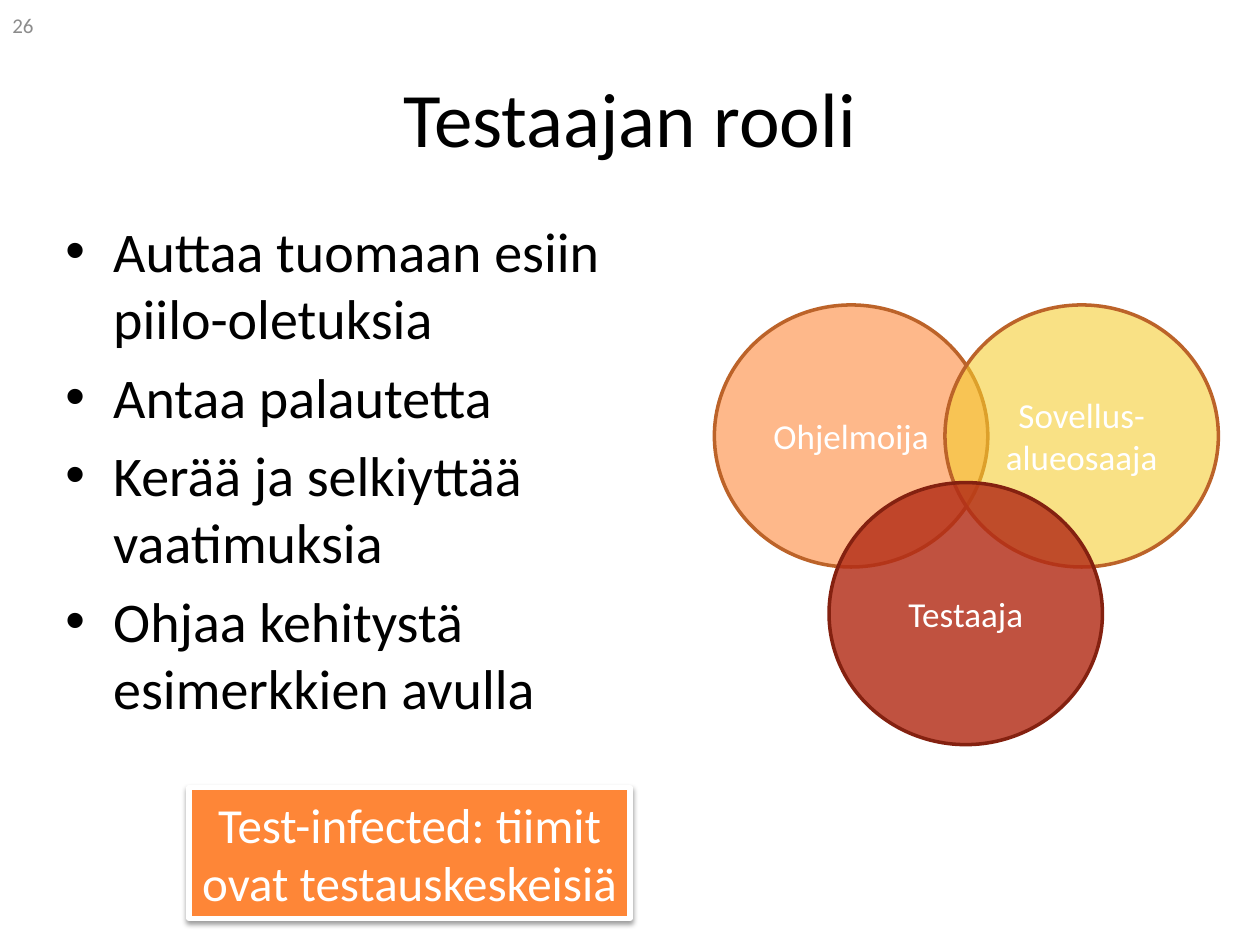
from lxml.etree import SubElement
from pptx import Presentation
from pptx.dml.color import RGBColor
from pptx.enum.shapes import MSO_SHAPE
from pptx.enum.text import MSO_ANCHOR, PP_ALIGN
from pptx.oxml import parse_xml
from pptx.oxml.ns import qn
from pptx.util import Inches, Pt

TITLE = "Testaajan rooli"
PAGE_NUMBER = "26"
TASKS = [
    "Auttaa tuomaan esiin piilo-oletuksia",
    "Antaa palautetta",
    "Kerää ja selkiyttää vaatimuksia",
    "Ohjaa kehitystä esimerkkien avulla",
]
ROLES = [
    ("Ohjelmoija", 5.67, 2.42, "FE8637", 58, "BC6329"),
    ("Sovellus-alueosaaja", 7.5, 2.42, "F5CD2D", 58, "BC6329"),
    ("Testaaja", 6.58, 3.83, "B32C16", 82, "842110"),
]
CIRCLE_SIZE = (2.17, 2.08)
CALLOUT = "Test-infected: tiimit ovat testauskeskeisiä"
SHADOW = (
    '<a:effectLst xmlns:a="http://schemas.openxmlformats.org/drawingml/2006/main">'
    '<a:outerShdw blurRad="40000" dist="20000" dir="5400000" rotWithShape="0">'
    '<a:srgbClr val="000000"><a:alpha val="38000"/></a:srgbClr>'
    "</a:outerShdw></a:effectLst>"
)


def color(value):
    return RGBColor.from_string(value)


def write(shape, lines, size, text_color, align=PP_ALIGN.CENTER,
          anchor=MSO_ANCHOR.MIDDLE, bulleted=False):
    frame = shape.text_frame
    frame.word_wrap = True
    frame.vertical_anchor = anchor
    frame.text = "\n".join(lines)
    for index, paragraph in enumerate(frame.paragraphs):
        paragraph.alignment = align
        if bulleted:
            paragraph.space_before = Pt(0.2 * size if index else 0)
            properties = paragraph._p.get_or_add_pPr()
            properties.set("marL", str(Inches(0.38)))
            properties.set("indent", str(Inches(-0.38)))
            SubElement(properties, qn("a:buFont"), typeface="Arial")
            SubElement(properties, qn("a:buChar"), char="•")
        paragraph.font.name = "Calibri"
        paragraph.font.size = Pt(size)
        paragraph.font.color.rgb = color(text_color)


def add_text(slide, box, lines, size, text_color, **options):
    shape = slide.shapes.add_textbox(*map(Inches, box))
    write(shape, lines, size, text_color, **options)


def add_filled(slide, kind, box, text, size, fill, line, line_width):
    shape = slide.shapes.add_shape(kind, *map(Inches, box))
    shape.shadow.inherit = False
    shape.fill.solid()
    shape.fill.fore_color.rgb = color(fill)
    shape.line.color.rgb = color(line)
    shape.line.width = Pt(line_width)
    write(shape, [text], size, "FFFFFF")
    return shape


def set_opacity(shape, percent):
    fill_color = shape._element.spPr.find(qn("a:solidFill"))[0]
    SubElement(fill_color, qn("a:alpha"), val=str(percent * 1000))


def add_shadow(shape):
    properties = shape._element.spPr
    properties.replace(properties.find(qn("a:effectLst")), parse_xml(SHADOW))


def main():
    """Build the slide on the tester's role."""
    presentation = Presentation()
    presentation.slide_width = Inches(10)
    presentation.slide_height = Inches(7.5)
    slide = presentation.slides.add_slide(presentation.slide_layouts[6])

    add_text(slide, (0.5, 0.3, 9, 1.25), [TITLE], 44, "000000")
    add_text(slide, (0.42, 1.67, 5.25, 4.95), TASKS, 32, "000000",
             align=PP_ALIGN.LEFT, anchor=MSO_ANCHOR.TOP, bulleted=True)
    add_text(slide, (0, 0, 2.33, 0.4), [PAGE_NUMBER], 12, "8C8C8C",
             align=PP_ALIGN.LEFT)

    for name, left, top, fill, opacity, line in ROLES:
        circle = add_filled(slide, MSO_SHAPE.OVAL, (left, top, *CIRCLE_SIZE),
                            name, 20, fill, line, 2)
        set_opacity(circle, opacity)

    callout = add_filled(slide, MSO_SHAPE.RECTANGLE, (1.5, 6.25, 3.5, 1.04),
                         CALLOUT, 28, "FE8637", "FFFFFF", 3)
    add_shadow(callout)

    presentation.save("out.pptx")


if __name__ == "__main__":
    main()
